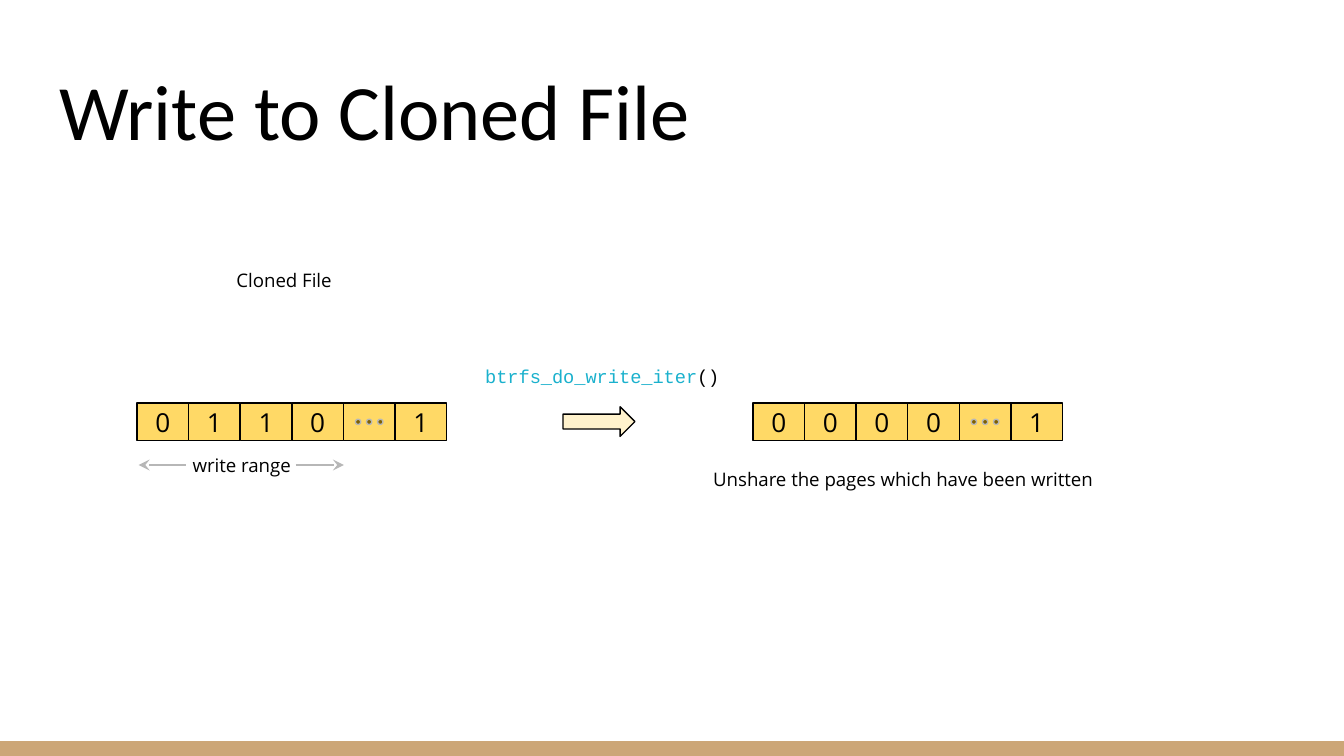
from lxml import etree
from pptx import Presentation
from pptx.dml.color import RGBColor
from pptx.enum.shapes import MSO_CONNECTOR as Connector, MSO_SHAPE as Shape
from pptx.enum.text import MSO_ANCHOR as Anchor, MSO_AUTO_SIZE as AutoSize, PP_ALIGN as Align
from pptx.oxml.ns import qn
from pptx.util import Cm, Pt

BLACK = RGBColor(0x00, 0x00, 0x00)
TAN = RGBColor(0xCC, 0xA6, 0x77)
YELLOW = RGBColor(0xFF, 0xD9, 0x66)
CREAM = RGBColor(0xFF, 0xF2, 0xCC)
BROWN = RGBColor(0x7F, 0x60, 0x00)
GRAY = RGBColor(0xB7, 0xB7, 0xB7)
CYAN = RGBColor(0x1A, 0xB1, 0xCD)

INSET = Cm(0.25)
ROW_TOP, ROW_WIDTH, CELL_HEIGHT = 7.62, 5.85, 0.71
DOT_SIZE, DOT_STEP = 0.1, 0.21


def add_filled_shape(shapes, kind, box, fill, line=None):
    """Add a flat shape; box is left, top, width and height in centimetres."""
    shape = shapes.add_shape(kind, *[Cm(value) for value in box])
    shape.shadow.inherit = False
    shape.fill.solid()
    shape.fill.fore_color.rgb = fill
    if line is None:
        shape.line.fill.background()
    else:
        shape.line.color.rgb = line
        shape.line.width = Pt(0.75)
    return shape


def format_text(shape, text, font_name, size):
    """Write one black paragraph with even insets and return it."""
    frame = shape.text_frame
    frame.word_wrap = True
    frame.auto_size = AutoSize.NONE
    frame.margin_left = frame.margin_right = INSET
    frame.margin_top = frame.margin_bottom = INSET
    paragraph = frame.paragraphs[0]
    paragraph.text = text
    paragraph.font.name = font_name
    paragraph.font.size = Pt(size)
    paragraph.font.color.rgb = BLACK
    return paragraph


presentation = Presentation()
presentation.slide_width, presentation.slide_height = Cm(25.4), Cm(14.29)
slide = presentation.slides.add_slide(presentation.slide_layouts[5])
shapes = slide.shapes

add_filled_shape(shapes, Shape.RECTANGLE, (0, 14.01, 25.4, 0.28), TAN)

# Title
title = shapes.title
title.left, title.top, title.width, title.height = Cm(0.87), Cm(0.89), Cm(23.67), Cm(2.31)
format_text(title, "Write to Cloned File", "Calibri", 42).alignment = Align.LEFT
title.text_frame.vertical_anchor = Anchor.BOTTOM

# Pages of the file before and after the write; None is the cell with dots
page_rows = [
    (2.59, ["0", "1", "1", "0", None, "1"]),
    (14.23, ["0", "0", "0", "0", None, "1"]),
]
for row_left, values in page_rows:
    row = shapes.add_group_shape().shapes
    cell_width = ROW_WIDTH / len(values)
    for index, value in enumerate(values):
        left = row_left + index * cell_width
        cell = add_filled_shape(row, Shape.RECTANGLE,
                                (left, ROW_TOP, cell_width, CELL_HEIGHT), YELLOW, BLACK)
        if value is not None:
            format_text(cell, value, "Open Sans", 14).alignment = Align.CENTER
            cell.text_frame.vertical_anchor = Anchor.MIDDLE
            continue
        dot_top = ROW_TOP + (CELL_HEIGHT - DOT_SIZE) / 2
        for step in (-1, 0, 1):
            dot_left = left + (cell_width - DOT_SIZE) / 2 + step * DOT_STEP
            add_filled_shape(row, Shape.FLOWCHART_CONNECTOR,
                             (dot_left, dot_top, DOT_SIZE, DOT_SIZE), BROWN, GRAY)

# Labels
labels = [
    ("Cloned File", 4.22, 4.83, 2.59),
    ("write range", 3.39, 8.33, 2.59),
    ("Unshare the pages which have been written", 13.23, 8.59, 8.36),
]
for text, left, top, width in labels:
    label = shapes.add_textbox(Cm(left), Cm(top), Cm(width), Cm(0.71))
    format_text(label, text, "Open Sans", 10)

# Write call
call = shapes.add_textbox(Cm(8.92), Cm(6.65), Cm(5), Cm(0.71))
call_paragraph = format_text(call, "btrfs_do_write_iter", "Courier New", 10)
call_paragraph.space_after = Pt(10)
call_paragraph.runs[0].font.color.rgb = CYAN
call_paragraph.add_run().text = "()"
add_filled_shape(shapes, Shape.RIGHT_ARROW, (10.64, 7.69, 1.36, 0.56), CREAM, BLACK)

# Arrows from the label out to both ends of the write range
for start, end in [(3.51, 2.62), (5.59, 6.5)]:
    arrow = shapes.add_connector(Connector.STRAIGHT, Cm(start), Cm(8.79), Cm(end), Cm(8.79))
    arrow.line.color.rgb = GRAY
    arrow.line.width = Pt(0.75)
    etree.SubElement(arrow.line._get_or_add_ln(), qn("a:tailEnd"),
                     type="stealth", w="med", len="med")
    etree.SubElement(arrow._element.spPr, qn("a:effectLst"))

presentation.save("out.pptx")
